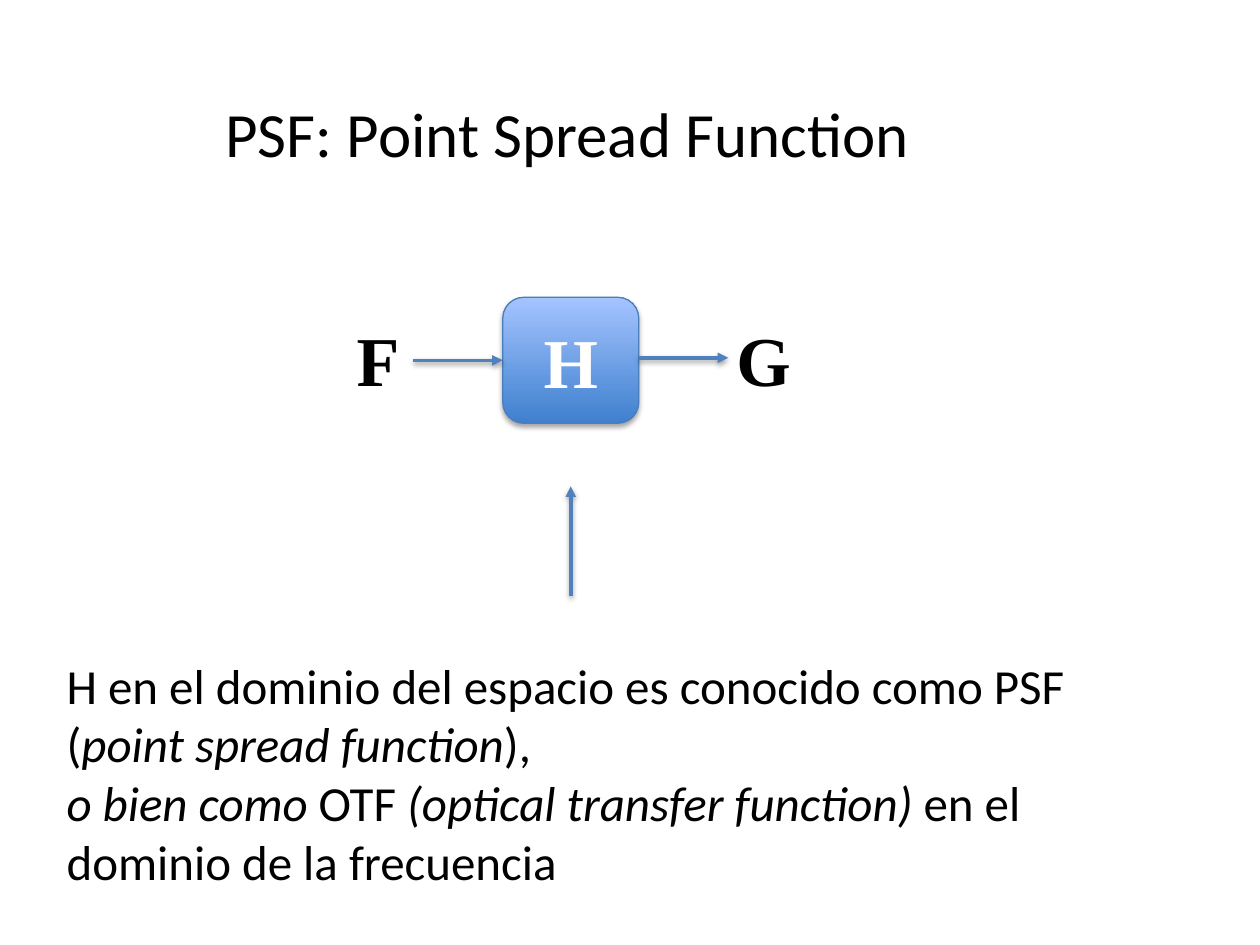
import pptx
import pptx.util
import pptx.dml.color
import pptx.enum.shapes
import pptx.enum.text
import pptx.oxml
import pptx.oxml.ns

WIDE, HIGH = 10, 7.5
SERIF, SANS = "Times New Roman", "Calibri"
INK, WHITE, BLUE = "000000", "FFFFFF", "4F81BD"
ALIGN = pptx.enum.text.PP_ALIGN
inch, point = pptx.util.Inches, pptx.util.Pt


def color(code):
    return pptx.dml.color.RGBColor.from_string(code)


def shade(props, dist, alpha):
    """Put a soft downward shadow on a shape's properties."""
    for old in props.findall(pptx.oxml.ns.qn("a:effectLst")):
        props.remove(old)
    props.append(pptx.oxml.parse_xml(
        f'<a:effectLst {pptx.oxml.ns.nsdecls("a")}>'
        f'<a:outerShdw blurRad="{point(3.1)}" dist="{point(dist)}" dir="5400000" rotWithShape="0">'
        f'<a:srgbClr val="000000"><a:alpha val="{alpha * 1000}"/></a:srgbClr>'
        '</a:outerShdw></a:effectLst>'))


def write(frame, paras, size, face, ink=INK, bold=None, align=None):
    """Fill a frame with paragraphs, each a list of (text, italic) runs."""
    for i, runs in enumerate(paras):
        para = frame.add_paragraph() if i else frame.paragraphs[0]
        para.alignment = align
        for text, slant in runs:
            run = para.add_run()
            run.text = text
            font = run.font
            font.size, font.name = point(size), face
            font.bold, font.italic = bold, slant
            font.color.rgb = color(ink)


def label(shapes, box, paras, size, face, wrap=False, **style):
    frame = shapes.add_textbox(*map(inch, box)).text_frame
    frame.word_wrap = wrap
    frame.auto_size = pptx.enum.text.MSO_AUTO_SIZE.SHAPE_TO_FIT_TEXT
    write(frame, paras, size, face, **style)


def arrow(shapes, start, end):
    line = shapes.add_connector(pptx.enum.shapes.MSO_CONNECTOR.STRAIGHT,
                                *map(inch, start + end))
    line.line.color.rgb = color(BLUE)
    line.line.width = point(2)
    line.line._get_or_add_ln().append(pptx.oxml.parse_xml(
        f'<a:tailEnd {pptx.oxml.ns.nsdecls("a")} type="triangle"/>'))
    shade(line._element.spPr, 1.6, 38)


def block(shapes, box, text):
    """Draw the rounded block of the system."""
    shape = shapes.add_shape(pptx.enum.shapes.MSO_SHAPE.ROUNDED_RECTANGLE, *map(inch, box))
    shape.fill.gradient()
    shape.fill.gradient_angle = 90
    for stop, code in zip(shape.fill.gradient_stops, ("3F80CE", "A4C4FF")):
        stop.color.rgb = color(code)
    shape.line.color.rgb = color("4B7EBC")
    shape.line.width = point(0.75)
    shape.shadow.inherit = False
    shade(shape._element.spPr, 1.8, 35)
    frame = shape.text_frame
    frame.vertical_anchor = pptx.enum.text.MSO_ANCHOR.MIDDLE
    write(frame, [[(text, None)]], 40, SERIF, ink=WHITE, bold=True, align=ALIGN.CENTER)


def system(slide, box):
    """Draw F -> H -> G as one group."""
    left, top, wide, high = box
    shapes = slide.shapes.add_group_shape().shapes
    side, reach = 1.08, 0.71
    near = left + 1.26
    far = near + side
    mid = top + high / 2
    block(shapes, (near, top, side, high), "H")
    arrow(shapes, (near - reach, mid), (near, mid))
    arrow(shapes, (far, mid - 0.02), (far + reach, mid - 0.02))
    for text, x, w in (("F", left, 0.54), ("G", left + wide - 0.64, 0.64)):
        label(shapes, (x, top + 0.1, w, 0.77), [[(text, None)]], 40, SERIF,
              bold=True, align=ALIGN.CENTER)


def main():
    deck = pptx.Presentation()
    deck.slide_width, deck.slide_height = inch(WIDE), inch(HIGH)
    slide = deck.slides.add_slide(deck.slide_layouts[6])
    label(slide.shapes, (1.69, 0.7, 5.68, 0.71),
          [[("PSF: Point Spread Function", None)]], 36, SANS)
    system(slide, (2.73, 2.36, 3.65, 1))
    arrow(slide.shapes, (4.53, 4.73), (4.53, 3.86))
    label(slide.shapes, (0.43, 5.15, 8.88, 1.99), [
        [("H en el dominio del espacio es conocido como PSF (", None),
         ("point spread function", True), ("),", None)],
        [("o bien como ", True), ("OTF", None),
         (" (optical transfer function) ", True),
         ("en el dominio de la frecuencia", None)],
    ], 28, SANS, wrap=True)
    deck.save("out.pptx")


if __name__ == "__main__":
    main()
